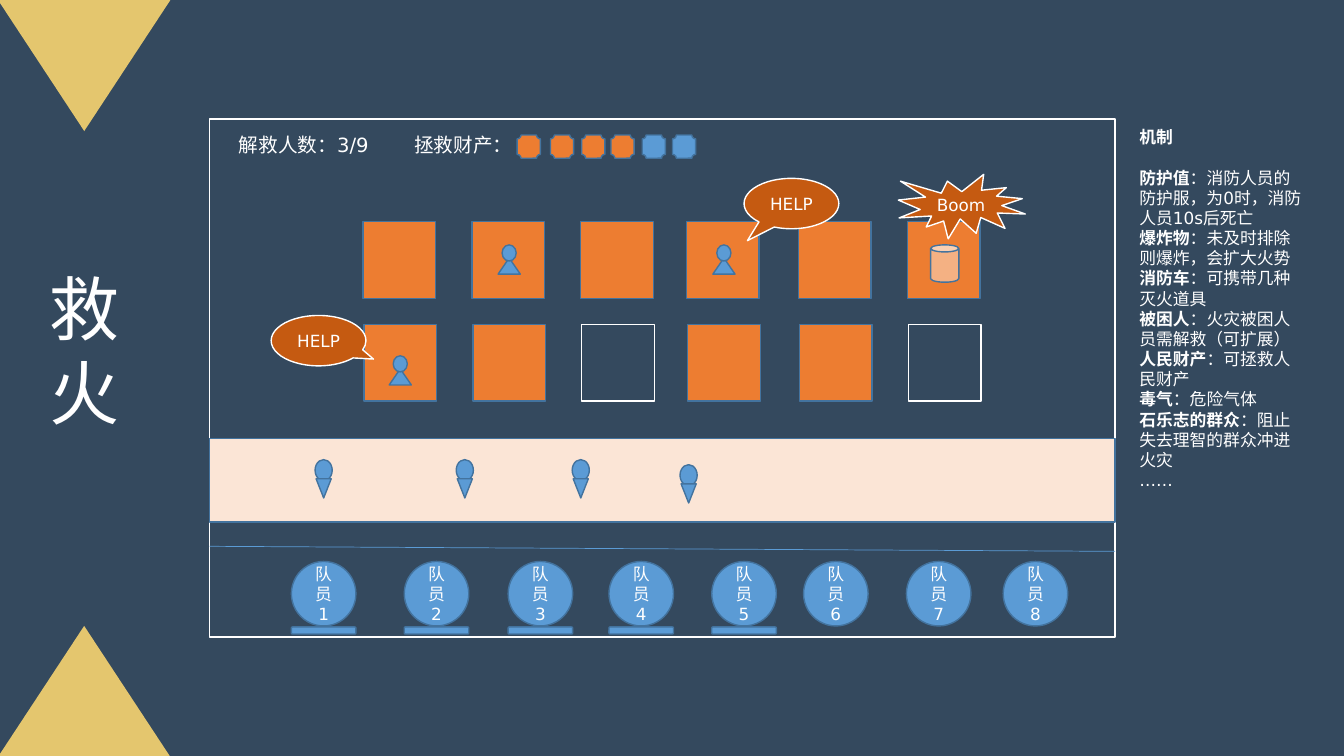
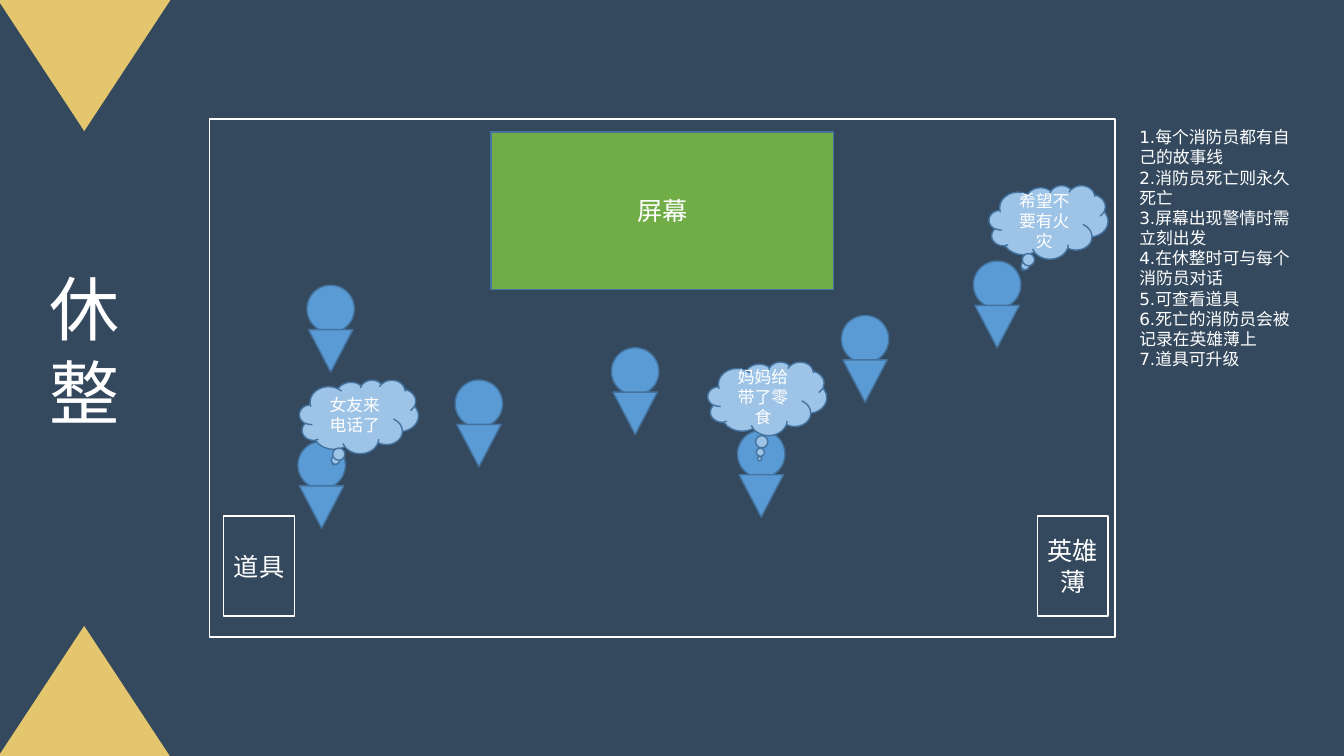
from dataclasses import dataclass

from lxml import etree
from pptx import Presentation
from pptx.dml.color import RGBColor
from pptx.enum.shapes import MSO_CONNECTOR, MSO_SHAPE
from pptx.enum.text import MSO_ANCHOR, MSO_AUTO_SIZE, PP_ALIGN
from pptx.oxml.ns import qn
from pptx.util import Inches, Pt

RECT, OVAL = MSO_SHAPE.RECTANGLE, MSO_SHAPE.OVAL
TRIANGLE, PLAQUE, CAN = MSO_SHAPE.ISOSCELES_TRIANGLE, MSO_SHAPE.PLAQUE, MSO_SHAPE.CAN
PROCESS, BAR = MSO_SHAPE.FLOWCHART_PROCESS, MSO_SHAPE.ROUNDED_RECTANGLE
SPEECH, CLOUD = MSO_SHAPE.OVAL_CALLOUT, MSO_SHAPE.CLOUD_CALLOUT
BURST = MSO_SHAPE.EXPLOSION1


@dataclass(frozen=True)
class Theme:
    """Colours, font and type sizes of the whole deck."""
    ground: str = "34495E"
    gold: str = "E4C66E"
    white: str = "FFFFFF"
    blue: str = "5B9BD5"
    edge: str = "43739E"
    orange: str = "ED7D31"
    rust: str = "C55A11"
    peach: str = "F4B183"
    street: str = "FBE5D6"
    green: str = "70AD47"
    sky: str = "9DC3E6"
    font: str = "DejaVu Sans"
    title: int = 50
    label: int = 18
    status: int = 14
    small: int = 12


@dataclass(frozen=True)
class Figure:
    """Proportions of a person made of a round head and a triangular body."""
    head: tuple
    body: tuple
    drop: float
    inverted: bool


THEME = Theme()
WIDTH, HEIGHT = 13.33, 7.5
FRAME = (2.08, 1.18, 8.98, 5.14)
TITLE_BOX = (0.39, 2.58, 0.89, 1.78)
CORNER = (1.71, 1.3)

VICTIM = Figure((0.14, 0.16), (0.22, 0.16), 0.13, False)
FIGHTER = Figure((0.17, 0.21), (0.15, 0.19), 0.19, True)
CREW = Figure((0.47, 0.47), (0.44, 0.42), 0.44, True)

# Fire slide: notes are (bold lead, plain text); people are (centre, top)
FIRE_NOTES = [
    ("机制", ""),
    ("防护值", "：消防人员的防护服，为0时，消防人员10s后死亡"),
    ("爆炸物", "：未及时排除则爆炸，会扩大火势"),
    ("消防车", "：可携带几种灭火道具"),
    ("被困人", "：火灾被困人员需解救（可扩展）"),
    ("人民财产", "：可拯救人民财产"),
    ("毒气", "：危险气体"),
    ("石乐志的群众", "：阻止失去理智的群众冲进火灾"),
    ("", "……"),
]
STATUS = [("解救人数：3/9", 2.27, 2.05), ("拯救财产：", 4.01, 1.15)]
TOKEN_LEFTS, TOKENS_SAVED = [5.13, 5.46, 5.77, 6.06, 6.37, 6.67], 4
ROOM_LEFTS = [3.6, 4.68, 5.76, 6.81, 7.92, 9.0]
ROOM_ROWS = [(2.2, "111111"), (3.22, "110110")]
VICTIMS = [(3.97, 3.53), (5.05, 2.43), (7.18, 2.43)]
FIGHTERS = [(3.21, 4.56), (4.61, 4.56), (5.76, 4.56), (6.83, 4.61)]
MEMBER_LEFTS, MEMBERS_READY = [2.89, 4.01, 5.04, 6.04, 7.06, 7.97, 8.99, 9.95], 5
HELP_CALLS = [((7.38, 1.77), (-0.464, 0.736)), ((2.69, 3.13), (0.579, 0.366))]

# Rest slide
REST_NOTES = [
    ("", "1.每个消防员都有自己的故事线"),
    ("", "2.消防员死亡则永久死亡"),
    ("", "3.屏幕出现警情时需立刻出发"),
    ("", "4.在休整时可与每个消防员对话"),
    ("", "5.可查看道具"),
    ("", "6.死亡的消防员会被记录在英雄薄上"),
    ("", "7.道具可升级"),
]
CREW_PLACES = [(3.28, 2.83), (4.75, 3.77), (6.3, 3.45), (7.55, 4.27),
               (9.89, 2.59), (3.19, 4.38), (8.58, 3.13)]
THOUGHTS = [("希望不要有火灾", (9.81, 1.84), ()),
            ("女友来电话了", (2.97, 3.77), ()),
            ("妈妈给带了零食", (7.02, 3.59), (-0.065, 0.817))]
CABINETS = [("英雄薄", 10.29), ("道具", 2.22)]


def colour(code):
    """Turn a hex code into a colour."""
    return RGBColor.from_string(code)


def add_span(para, text, size, bold=False):
    """Append one white run to a paragraph."""
    span = para.add_run()
    span.text = text
    span.font.name = THEME.font
    span.font.size = Pt(size)
    span.font.bold = bold
    span.font.color.rgb = colour(THEME.white)


def place(box, area):
    """Move a box to left, top, width, height in inches."""
    box.left, box.top, box.width, box.height = map(Inches, area)


def add_block(shapes, kind, area, fill=None, line=THEME.edge,
              text="", size=THEME.small, adjust=()):
    """Add a preset shape with optional fill, line and centred text."""
    block = shapes.add_shape(kind, *map(Inches, area))
    block.shadow.inherit = False
    if fill:
        block.fill.solid()
        block.fill.fore_color.rgb = colour(fill)
    else:
        block.fill.background()
    if line:
        block.line.color.rgb = colour(line)
        block.line.width = Pt(1)
    else:
        block.line.fill.background()
    for index, value in enumerate(adjust):
        block.adjustments[index] = value
    if text:
        para = block.text_frame.paragraphs[0]
        para.alignment = PP_ALIGN.CENTER
        add_span(para, text, size)
    return block


def add_figure(page, figure, centre, top):
    """Add a grouped person whose head starts at top."""
    group = page.shapes.add_group_shape()
    parts = [(OVAL, figure.head, top), (TRIANGLE, figure.body, top + figure.drop)]
    if not figure.inverted:
        parts.reverse()
    for kind, (width, height), start in parts:
        part = add_block(group.shapes, kind,
                         (centre - width / 2, start, width, height), THEME.blue)
        if kind == TRIANGLE and figure.inverted:
            part.rotation = 180


def prepare_text(box, area):
    """Place a text box or placeholder with wrapped, top-anchored text."""
    place(box, area)
    frame = box.text_frame
    frame.word_wrap = True
    frame.auto_size = MSO_AUTO_SIZE.NONE
    frame.vertical_anchor = MSO_ANCHOR.TOP
    return frame


def fill_notes(box, notes, height):
    """Write the side notes without bullets; a lone lead is a heading."""
    frame = prepare_text(box, (11.2, 1.21, 1.85, height))
    for index, (lead, text) in enumerate(notes):
        para = frame.paragraphs[0] if index == 0 else frame.add_paragraph()
        para.space_before = Pt(0)
        para.space_after = Pt(0 if text else THEME.small * 1.2)
        props = para._p.get_or_add_pPr()
        props.set("marL", "0")
        props.set("indent", "0")
        etree.SubElement(props, qn("a:buNone"))
        if lead:
            add_span(para, lead, THEME.small, True)
        if text:
            add_span(para, text, THEME.small)


def add_page(deck, title, notes, notes_height):
    """Add a page with corner triangles, title, notes and the game frame."""
    page = deck.slides.add_slide(deck.slide_layouts[1])
    for top, turn in [(0, 180), (HEIGHT - CORNER[1] + 0.01, 0)]:
        corner = add_block(page.shapes, TRIANGLE, (-0.02, top, *CORNER), THEME.gold, None)
        corner.rotation = turn
    frame = prepare_text(page.shapes.title, TITLE_BOX)
    frame.paragraphs[0].alignment = PP_ALIGN.LEFT
    add_span(frame.paragraphs[0], title, THEME.title)
    fill_notes(page.placeholders[1], notes, notes_height)
    add_block(page.shapes, RECT, FRAME, None, THEME.white)
    return page


def add_team(page):
    """Add the row of members, the bars of the ready ones and the divider."""
    size, top = 0.64, 5.57
    for index, left in enumerate(MEMBER_LEFTS):
        add_block(page.shapes, OVAL, (left, top, size, size), THEME.blue,
                  text=f"队员{index + 1}")
        if index < MEMBERS_READY:
            add_block(page.shapes, BAR, (left, top + size + 0.01, size, 0.07), THEME.blue)
    ends = (FRAME[0], 5.42, FRAME[0] + FRAME[2], 5.47)
    divider = page.shapes.add_connector(MSO_CONNECTOR.STRAIGHT, *map(Inches, ends))
    divider.line.color.rgb = colour(THEME.blue)
    divider.line.width = Pt(0.5)
    etree.SubElement(divider._element.spPr, qn("a:effectLst"))


def add_status(page):
    """Add the rescue counter and the property tokens."""
    for text, left, width in STATUS:
        box = page.shapes.add_textbox(0, 0, 0, 0)
        frame = prepare_text(box, (left, 1.27, width, 0.34))
        add_span(frame.paragraphs[0], text, THEME.status)
    for index, left in enumerate(TOKEN_LEFTS):
        fill = THEME.orange if index < TOKENS_SAVED else THEME.blue
        add_block(page.shapes, PLAQUE, (left, 1.34, 0.23, 0.23), fill)


def add_building(page):
    """Add the rooms, burning or empty, with the people trapped inside."""
    for row, (top, burning) in enumerate(ROOM_ROWS):
        for left, state in zip(ROOM_LEFTS, burning):
            colours = (THEME.orange, THEME.edge) if state == "1" else (None, THEME.white)
            add_block(page.shapes, RECT, (left + row * 0.01, top, 0.72, 0.76), *colours)
    for centre, top in VICTIMS:
        add_figure(page, VICTIM, centre, top)


def build_fire(deck):
    """Build the fire-fighting screen."""
    page = add_page(deck, "救火", FIRE_NOTES, 3.74)
    add_team(page)
    add_building(page)
    add_status(page)
    add_block(page.shapes, RECT, (FRAME[0], 4.35, FRAME[2], 0.83), THEME.street)
    for centre, top in FIGHTERS:
        add_figure(page, FIGHTER, centre, top)
    for corner, tail in HELP_CALLS:
        add_block(page.shapes, SPEECH, (*corner, 0.94, 0.5), THEME.rust, THEME.white,
                  "HELP", adjust=tail)
    add_block(page.shapes, CAN, (9.23, 2.43, 0.28, 0.37), THEME.peach)
    add_block(page.shapes, BURST, (8.91, 1.73, 1.26, 0.64), THEME.rust, THEME.white, "Boom")


def build_rest(deck):
    """Build the rest-room screen."""
    page = add_page(deck, "休整", REST_NOTES, 2.52)
    add_block(page.shapes, PROCESS, (4.87, 1.31, 3.4, 1.56), THEME.green,
              text="屏幕", size=THEME.label)
    for centre, top in CREW_PLACES:
        add_figure(page, CREW, centre, top)
    for text, corner, tail in THOUGHTS:
        add_block(page.shapes, CLOUD, (*corner, 1.18, 0.73), THEME.sky, text=text, adjust=tail)
    for text, left in CABINETS:
        add_block(page.shapes, PROCESS, (left, 5.12, 0.7, 0.99), None, THEME.white,
                  text, THEME.label)


def main():
    """Build and save the deck."""
    deck = Presentation()
    deck.slide_width, deck.slide_height = Inches(WIDTH), Inches(HEIGHT)
    ground = deck.slide_master.background.fill
    ground.solid()
    ground.fore_color.rgb = colour(THEME.ground)
    build_fire(deck)
    build_rest(deck)
    deck.save("out.pptx")


main()
